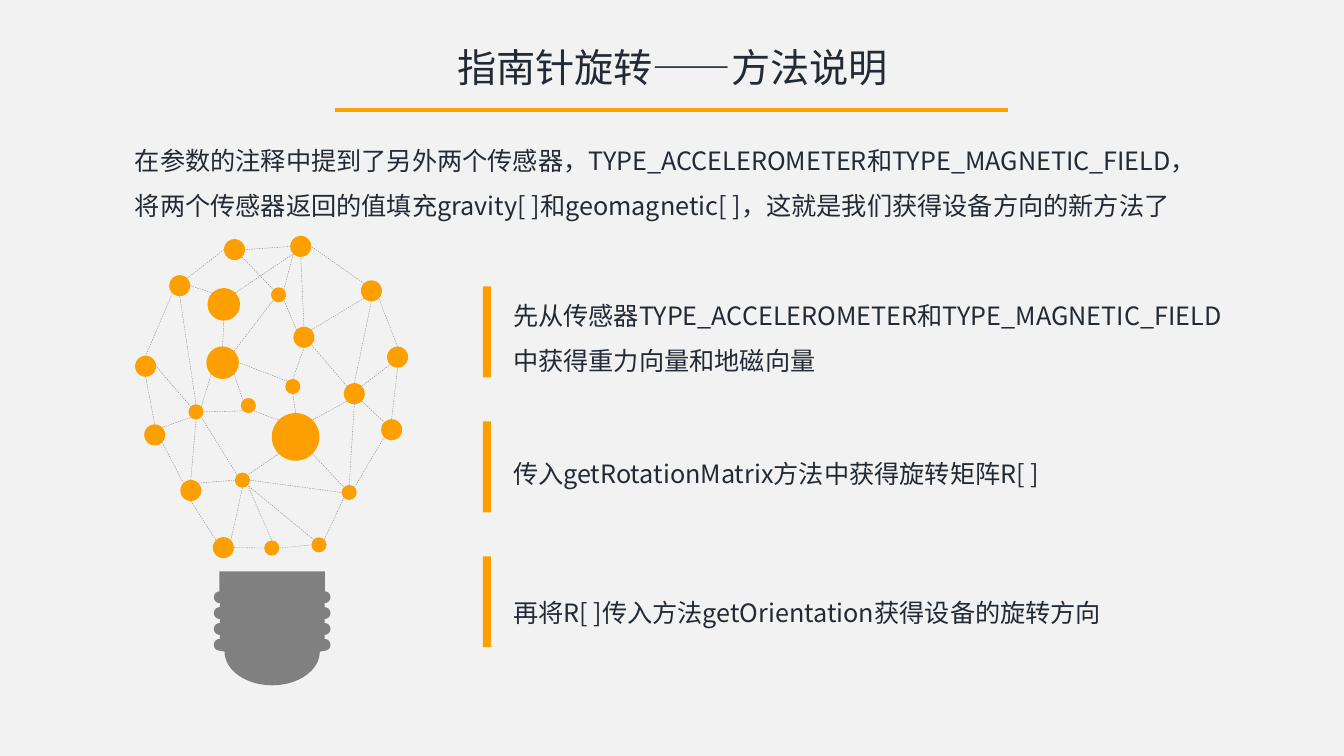
from math import cos, pi, sin, sqrt

from pptx import Presentation
from pptx.dml.color import RGBColor
from pptx.enum.dml import MSO_LINE
from pptx.enum.shapes import MSO_CONNECTOR as CONN, MSO_SHAPE as SHAPE
from pptx.enum.text import MSO_AUTO_SIZE as AUTO, PP_ALIGN as ALIGN
from pptx.oxml.ns import qn
from pptx.util import Cm, Pt

FONT = "Noto Sans CJK SC"
ORANGE = RGBColor(0xFE, 0x9F, 0x00)
GRAY = RGBColor(0x80, 0x80, 0x80)
NAVY = RGBColor(0x22, 0x2A, 0x35)
PAPER = RGBColor(0xF2, 0xF2, 0xF2)

prs = Presentation()
prs.slide_width, prs.slide_height = Cm(33.87), Cm(19.05)
s = prs.slides.add_slide(prs.slide_layouts[6])
s.background.fill.solid()
s.background.fill.fore_color.rgb = PAPER


def add_text(x, y, w, h, lines, size=18, spacing=1.5, align=ALIGN.LEFT):
    tf = s.shapes.add_textbox(Cm(x), Cm(y), Cm(w), Cm(h)).text_frame
    tf.margin_left = tf.margin_right = tf.margin_top = tf.margin_bottom = 0
    tf.word_wrap = True
    tf.auto_size = AUTO.SHAPE_TO_FIT_TEXT
    tf.text = "\n".join(lines)
    for p in tf.paragraphs:
        p.alignment = align
        p.line_spacing = spacing
        p.font.size = Pt(size)
        p.font.name = FONT
        p.font.color.rgb = NAVY
        latin = p.font._element.find(qn("a:latin"))
        ea = latin.makeelement(qn("a:ea"), {"typeface": FONT})
        latin.addnext(ea)


def add_line(shapes, x1, y1, x2, y2, color, width):
    c = shapes.add_connector(CONN.STRAIGHT, Cm(x1), Cm(y1), Cm(x2), Cm(y2))
    c.line.color.rgb = color
    c.line.width = Pt(width)
    sp_pr = c._element.spPr
    sp_pr.append(sp_pr.makeelement(qn("a:effectLst"), {}))
    return c


add_text(10.29, 1.09, 13.31, 1.19, ["指南针旋转——方法说明"], 28, 1.0, ALIGN.CENTER)
add_line(s.shapes, 8.43, 2.77, 25.4, 2.77, ORANGE, 3)
add_text(3.4, 3.28, 28.9, 2.18, [
    "在参数的注释中提到了另外两个传感器，TYPE_ACCELEROMETER和TYPE_MAGNETIC_FIELD，",
    "将两个传感器返回的值填充gravity[ ]和geomagnetic[ ]，这就是我们获得设备方向的新方法了",
])

steps = [
    (7.19, 2.18, "先从传感器TYPE_ACCELEROMETER和TYPE_MAGNETIC_FIELD中获得重力向量和地磁向量"),
    (11.18, 1.02, "传入getRotationMatrix方法中获得旋转矩阵R[ ]"),
    (14.66, 1.02, "再将R[ ]传入方法getOrientation获得设备的旋转方向"),
]
for i, (top, height, text) in enumerate(steps):
    sp = s.shapes.add_shape(SHAPE.RECTANGLE, Cm(12.17), Cm(7.22 + 3.4 * i), Cm(0.2), Cm(2.29))
    sp.shadow.inherit = False
    sp.fill.solid()
    sp.fill.fore_color.rgb = ORANGE
    sp.line.fill.background()
    add_text(12.93, top, 18.24, height, [text])

bulb = s.shapes.add_group_shape().shapes

axis = 6.86
half = [(1.33, 14.4), (1.33, 14.88)]
for i in range(4):
    for k in range(9):
        a = pi * k / 8
        half.append((1.32 + 0.15 * sin(a), 15.05 + 0.4 * i - 0.15 * cos(a)))
for k in range(17):
    a = pi / 2 * k / 16
    half.append((1.2 * cos(a), 16.42 + 0.85 * sin(a)))
outline = [(axis + x, y) for x, y in half] + [(axis - x, y) for x, y in half[::-1]]
points = [(Cm(x), Cm(y)) for x, y in outline]
fb = bulb.build_freeform(*points[0])
fb.add_line_segments(points[1:], close=True)
sp = fb.convert_to_shape()
sp.shadow.inherit = False
sp.fill.solid()
sp.fill.fore_color.rgb = GRAY
sp.line.fill.background()

SMALL, MEDIUM, LARGE, HUGE = 0.38, 0.53, 0.82, 1.2
nodes = {
    "A": (5.63, 13.8, MEDIUM), "B": (8.04, 13.73, SMALL), "C": (6.85, 13.81, SMALL),
    "D": (4.81, 12.36, MEDIUM), "E": (3.9, 10.96, MEDIUM), "F": (3.67, 9.23, MEDIUM),
    "G": (4.53, 7.2, MEDIUM), "H": (5.91, 6.29, MEDIUM), "I": (7.58, 6.21, MEDIUM),
    "J": (9.36, 7.33, MEDIUM), "K": (10.02, 9.0, MEDIUM), "L": (9.87, 10.83, MEDIUM),
    "M": (8.8, 12.41, SMALL), "N": (6.11, 12.1, SMALL), "O": (5.61, 9.14, LARGE),
    "P": (7.45, 11.01, HUGE), "Q": (6.26, 10.22, SMALL), "R": (4.94, 10.38, SMALL),
    "S": (7.02, 7.43, SMALL), "T": (7.66, 8.5, MEDIUM), "U": (8.93, 9.92, MEDIUM),
    "V": (5.64, 7.67, LARGE), "W": (7.38, 9.74, SMALL),
}
for x, y, d in nodes.values():
    sp = bulb.add_shape(SHAPE.OVAL, Cm(x - d / 2), Cm(y - d / 2), Cm(d), Cm(d))
    sp.shadow.inherit = False
    sp.fill.solid()
    sp.fill.fore_color.rgb = ORANGE
    sp.line.fill.background()

q = sqrt(0.5)
sides = {"n": (0, -1), "s": (0, 1), "w": (-1, 0), "e": (1, 0),
         "nw": (-q, -q), "ne": (q, -q), "sw": (-q, q), "se": (q, q)}
links = """
Ae-Cw Ce-Bw Bne-Msw Mne-Lsw Ln-Ks Kn-Jse Jnw-Ie Iw-He Hw-Gne Gsw-Fn Fs-En Ese-Dnw
Ds-Anw Ane-Ns Ne-Mw Nse-Cn Bnw-Nse Nnw-Rse Dne-Nw Rsw-Ene Dn-Rs Rn-Gs Rnw-Fe Ge-Vnw
Vs-On Ose-Qnw Qse-Pnw Pse-Mnw Psw-Nne Qsw-Re Osw-Rne One-Ssw Sne-Isw Vne-Isw Hse-Snw
Tne-Jsw Tn-Is Tnw-Sse Wn-Ts Ws-Pn Wnw-Oe Pne-Usw Un-Js Unw-Tse Une-Ksw Use-Lnw Mn-Us
"""
for link in links.split():
    ends = []
    for end in link.split("-"):
        x, y, d = nodes[end[0]]
        dx, dy = sides[end[1:]]
        ends += [x + dx * d / 2, y + dy * d / 2]
    add_line(bulb, *ends, GRAY, 0.25).line.dash_style = MSO_LINE.DASH

prs.save("out.pptx")
